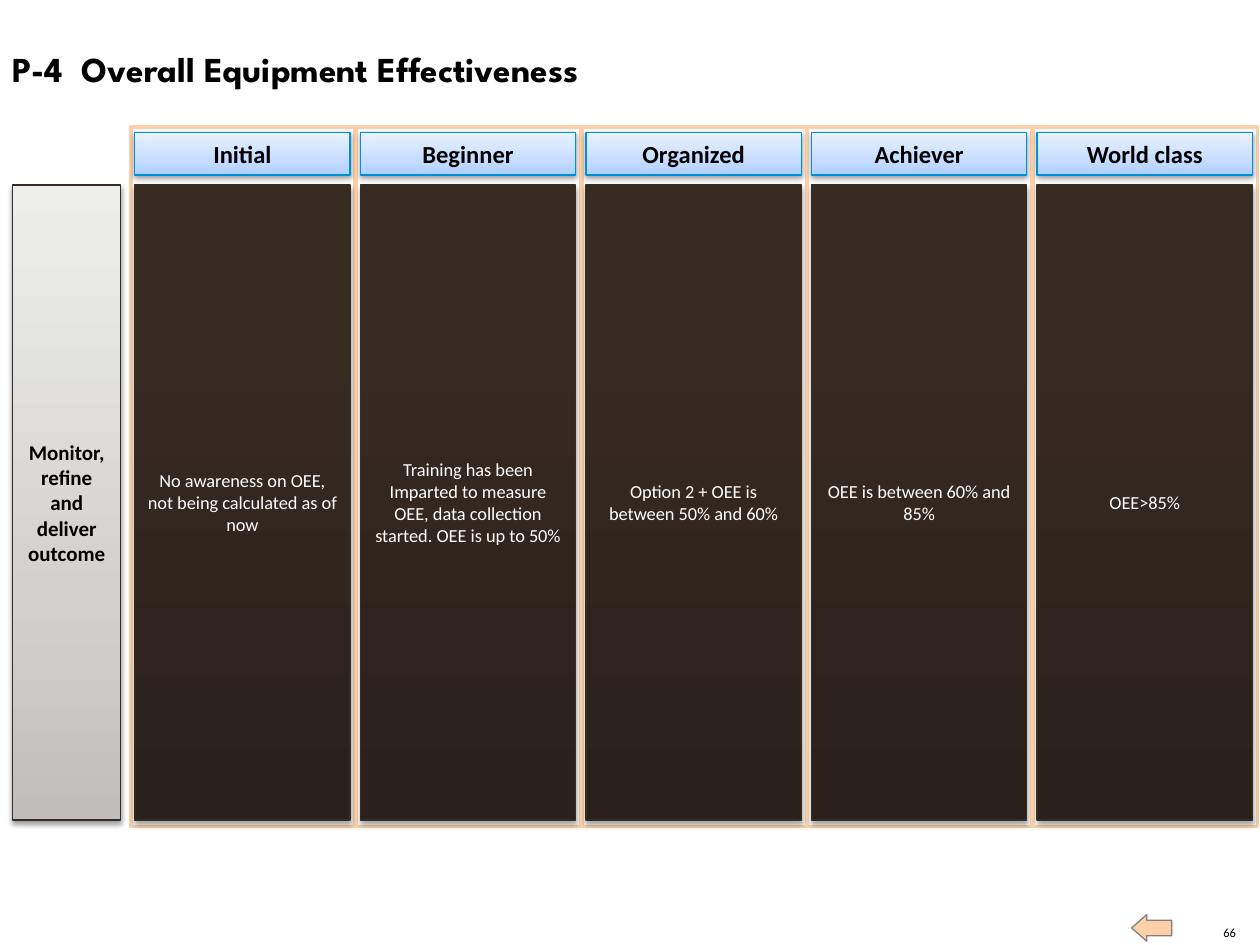
from lxml.etree import SubElement
from pptx import Presentation
from pptx.dml.color import RGBColor
from pptx.enum.shapes import MSO_SHAPE as Preset
from pptx.enum.text import MSO_ANCHOR as Anchor, PP_ALIGN as Align
from pptx.oxml.ns import qn
from pptx.util import Pt

COLORS = {
    "black": "000000", "white": "FFFFFF", "peach": "FCD1AA",
    "gray": "808080", "brown": "352C25", "blue": "008FDC",
}

# Gradient stops run from the bottom edge to the top edge
STYLES = {
    "stage": {"stops": [(0, "AECFFF"), (35, "C6DDFF"), (100, "E9F2FF")],
              "line": "blue", "shadow": (38, 1.6),
              "font": {"size": Pt(14), "bold": True}, "color": "black"},
    "level": {"stops": [(0, "2A211B"), (80, "372B22"), (100, "372B22")],
              "line": "brown", "shadow": (35, 1.8),
              "font": {"size": Pt(10.5), "bold": False}, "color": "white"},
    "row": {"stops": [(0, "C0BEBC"), (35, "D3D1D0"), (100, "EEEEED")],
            "line": "brown", "shadow": (38, 1.6),
            "font": {"size": Pt(12), "bold": True}, "color": "black"},
}

STAGES = [
    ("Initial", "No awareness on OEE, not being calculated as of now"),
    ("Beginner", "Training has been Imparted to measure OEE, "
                 "data collection started. OEE is up to 50%"),
    ("Organized", "Option 2 + OEE is between 50% and 60%"),
    ("Achiever", "OEE is between 60% and 85%"),
    ("World class", "OEE>85%"),
]
COLUMN_PITCH = 128.9
HEADER_HEIGHT = 24.5
BODY_TOP, BODY_HEIGHT = 105.8, 362.9


def rgb(name):
    return RGBColor.from_string(COLORS[name])


def write_text(frame, text, color, font_values, align):
    paragraph = frame.paragraphs[0]
    paragraph.text = text
    paragraph.alignment = align
    font = paragraph.runs[0].font
    for name, value in {"name": "Calibri", **font_values}.items():
        setattr(font, name, value)
    font.color.rgb = rgb(color)


def add_preset(slide, preset, box, line, line_width, fill=None):
    shape = slide.shapes.add_shape(preset, *map(Pt, box))
    shape.shadow.inherit = False
    shape.line.color.rgb = rgb(line)
    shape.line.width = Pt(line_width)
    if fill:
        shape.fill.solid()
        shape.fill.fore_color.rgb = rgb(fill)
    return shape


def set_gradient(shape, stops):
    shape.fill.gradient()
    shape.fill.gradient_angle = 90
    stop_list = shape._element.spPr.find(qn("a:gradFill")).find(qn("a:gsLst"))
    for old_stop in list(stop_list):
        stop_list.remove(old_stop)
    for position, color in stops:
        stop = SubElement(stop_list, qn("a:gs"), pos=str(position * 1000))
        SubElement(stop, qn("a:srgbClr"), val=color)


def set_shadow(shape, opacity, distance):
    effects = shape._element.spPr.find(qn("a:effectLst"))
    shadow = SubElement(effects, qn("a:outerShdw"), blurRad=str(Pt(3.1)),
                        dist=str(Pt(distance)), dir="5400000", rotWithShape="0")
    color = SubElement(shadow, qn("a:srgbClr"), val=COLORS["black"])
    SubElement(color, qn("a:alpha"), val=str(opacity * 1000))


def add_cell(slide, box, text, style_name):
    style = STYLES[style_name]
    shape = add_preset(slide, Preset.RECTANGLE, box, style["line"], 0.75)
    set_gradient(shape, style["stops"])
    set_shadow(shape, *style["shadow"])
    shape.text_frame.vertical_anchor = Anchor.MIDDLE
    write_text(shape.text_frame, text, style["color"], style["font"], Align.CENTER)


def add_title(slide, box):
    frame = slide.shapes.add_textbox(*map(Pt, box)).text_frame
    frame.word_wrap = True
    write_text(frame, "P-4  Overall Equipment Effectiveness", "black",
               {"name": "League Spartan", "size": Pt(20), "bold": True}, Align.LEFT)


def add_stage_column(slide, box, stage, level):
    left, top, width, height = box
    add_preset(slide, Preset.RECTANGLE, box, "peach", 2, "white")
    cell_left, cell_width = left + 2.2, width - 5.1
    add_cell(slide, (cell_left, BODY_TOP, cell_width, BODY_HEIGHT), level, "level")
    add_cell(slide, (cell_left, top + 2.9, cell_width, HEADER_HEIGHT), stage, "stage")


def add_footer(slide, box):
    left, top, width, height = box
    # Back arrow
    arrow = add_preset(slide, Preset.RIGHT_ARROW, (left, top, 23, 15.1),
                       "gray", 0.75, "peach")
    arrow.adjustments[0], arrow.adjustments[1] = 0.59, 0.57
    arrow.rotation = 180
    # Page number
    number_box = (left + width - 8.6, top + height - 8.6, 8.6, 8.6)
    frame = slide.shapes.add_textbox(*map(Pt, number_box)).text_frame
    for side in ("left", "top", "right", "bottom"):
        setattr(frame, f"margin_{side}", 0)
    frame.word_wrap = False
    frame.vertical_anchor = Anchor.BOTTOM
    write_text(frame, "66", "black", {"size": Pt(7.1)}, Align.RIGHT)


def main():
    presentation = Presentation()
    presentation.slide_width, presentation.slide_height = Pt(720), Pt(540)
    slide = presentation.slides.add_slide(presentation.slide_layouts[6])

    add_footer(slide, (646.6, 522.7, 59.7, 14.4))
    add_title(slide, (0, 23.8, 619.2, 31.7))
    add_cell(slide, (7.2, BODY_TOP, 61.9, BODY_HEIGHT),
             "Monitor, refine and deliver outcome", "row")
    for index, (stage, level) in enumerate(STAGES):
        box = (74.8 + index * COLUMN_PITCH, 72.7, 128.2, 399.6)
        add_stage_column(slide, box, stage, level)

    presentation.save("out.pptx")


if __name__ == "__main__":
    main()
